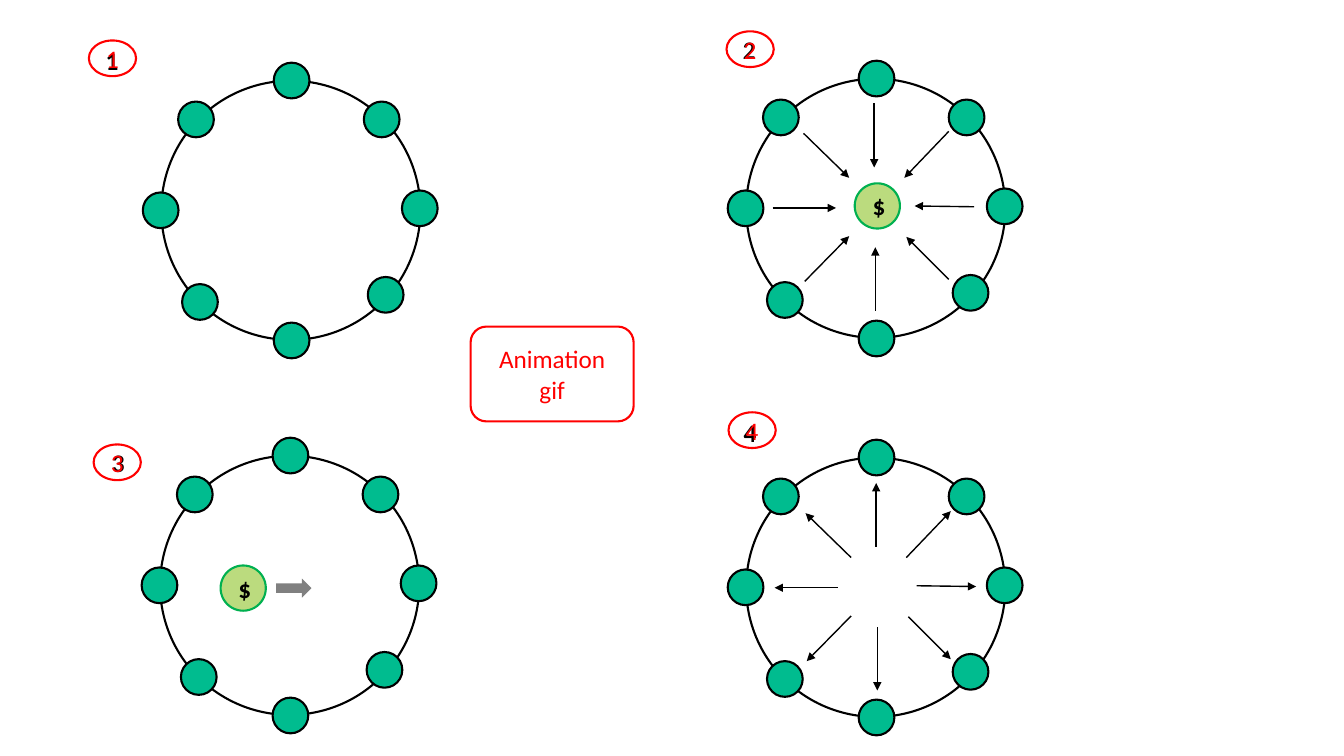
from dataclasses import dataclass
from typing import Optional

from lxml import etree
from pptx import Presentation
from pptx.dml.color import RGBColor
from pptx.enum.shapes import MSO_CONNECTOR, MSO_SHAPE
from pptx.enum.text import MSO_ANCHOR, MSO_AUTO_SIZE, PP_ALIGN
from pptx.oxml.ns import qn
from pptx.util import Cm, Pt

ELLIPSE = MSO_SHAPE.OVAL
ROUND_RECT = MSO_SHAPE.ROUNDED_RECTANGLE
RIGHT_ARROW = MSO_SHAPE.RIGHT_ARROW
STRAIGHT = MSO_CONNECTOR.STRAIGHT
MIDDLE = MSO_ANCHOR.MIDDLE
FIT_SHAPE = MSO_AUTO_SIZE.SHAPE_TO_FIT_TEXT
CENTER = PP_ALIGN.CENTER


@dataclass(frozen=True)
class Theme:
    font: str = "Calibri"
    size: float = 18
    outline: float = 1.5
    arrow_width: float = 1
    black: str = "000000"
    red: str = "FF0000"
    node: str = "00BC8F"
    coin: str = "BBDB7E"
    coin_line: str = "00B050"
    block_arrow: str = "808080"


@dataclass(frozen=True)
class Box:
    left: float
    top: float
    width: float
    height: float

    def lengths(self) -> tuple:
        return Cm(self.left), Cm(self.top), Cm(self.width), Cm(self.height)


@dataclass(frozen=True)
class Stage:
    """One numbered step: ring centre, badge corner and digit corner in cm."""
    number: str
    center: tuple[float, float]
    badge: tuple[float, float]
    digit: tuple[float, float]
    coin: Optional[tuple[float, float]] = None
    arrow_end: Optional[str] = None
    arrow_shift: tuple[float, float] = (0, 0)


THEME = Theme()
RING, NODE, COIN = 6.53, 0.9, 1.14

# Offsets from the ring centre, in cm
NODES = [(0.02, -3.27), (0.02, 3.28), (3.25, -0.05), (-3.28, 0),
         (-2.39, -2.29), (2.29, -2.29), (-2.29, 2.31), (2.39, 2.13)]
SPOKES = [(-0.04, -2.65, -0.04, -1.03), (-0.01, 2.58, -0.01, 0.98),
          (2.48, -0.04, 0.98, -0.06), (-2.6, -0.01, -1, -0.01),
          (1.84, -1.94, 0.72, -0.77), (-1.79, 1.84, -0.67, 0.7),
          (1.84, 1.79, 0.77, 0.72), (-1.82, -1.89, -0.67, -0.77)]

STAGES = [
    Stage("1", (7.33, 5.3), (2.24, 1.02), (2.41, 1.02)),
    Stage("2", (22.07, 5.25), (18.31, 0.79), (18.47, 0.74),
          coin=(22.11, 5.19), arrow_end="tailEnd"),
    Stage("3", (7.3, 14.75), (2.36, 11.2), (2.57, 11.15),
          coin=(6.13, 14.82)),
    Stage("4", (22.07, 14.8), (18.36, 10.39), (18.49, 10.39),
          arrow_end="headEnd", arrow_shift=(0.05, 0.02)),
]


def disc_box(center: tuple[float, float], size: float) -> Box:
    return Box(center[0] - size / 2, center[1] - size / 2, size, size)


def add_shape(shapes, kind, box: Box, fill: Optional[str] = None,
              line: Optional[str] = None):
    sp = shapes.add_shape(kind, *box.lengths())
    sp.shadow.inherit = False
    if fill:
        sp.fill.solid()
        sp.fill.fore_color.rgb = RGBColor.from_string(fill)
    else:
        sp.fill.background()
    if line:
        sp.line.color.rgb = RGBColor.from_string(line)
        sp.line.width = Pt(THEME.outline)
    else:
        sp.line.fill.background()
    return sp


def format_run(p, color: str, bold: bool = False) -> None:
    font = p.runs[0].font
    font.name = THEME.font
    font.size = Pt(THEME.size)
    font.bold = bold
    font.color.rgb = RGBColor.from_string(color)


def add_red_label(shapes, kind, box: Box, text: str) -> None:
    tf = add_shape(shapes, kind, box, line=THEME.red).text_frame
    tf.text = text
    tf.word_wrap = True
    tf.vertical_anchor = MIDDLE
    p = tf.paragraphs[0]
    p.alignment = CENTER
    format_run(p, THEME.red)


def add_symbol(shapes, left: float, top: float, text: str) -> None:
    tf = shapes.add_textbox(*Box(left, top, 0.84, 1.02).lengths()).text_frame
    tf.text = text
    tf.word_wrap = False
    tf.auto_size = FIT_SHAPE
    format_run(tf.paragraphs[0], THEME.black, bold=True)


def add_arrow(shapes, start: tuple[float, float], end: tuple[float, float],
              arrow_end: str) -> None:
    cx = shapes.add_connector(STRAIGHT, Cm(start[0]), Cm(start[1]),
                              Cm(end[0]), Cm(end[1]))
    cx.line.color.rgb = RGBColor.from_string(THEME.black)
    cx.line.width = Pt(THEME.arrow_width)
    sp_pr = cx._element.spPr
    etree.SubElement(sp_pr.find(qn("a:ln")), qn(f"a:{arrow_end}"),
                     type="triangle")
    etree.SubElement(sp_pr, qn("a:effectLst"))


def add_coin(shapes, center: tuple[float, float]) -> None:
    group = shapes.add_group_shape().shapes
    box = disc_box(center, COIN)
    add_shape(group, ELLIPSE, box, THEME.coin, THEME.coin_line)
    add_symbol(group, box.left + 0.2, box.top + 0.06, "$")


def add_spokes(shapes, stage: Stage) -> None:
    group = shapes.add_group_shape().shapes
    x = stage.center[0] + stage.arrow_shift[0]
    y = stage.center[1] + stage.arrow_shift[1]
    for x1, y1, x2, y2 in SPOKES:
        add_arrow(group, (x + x1, y + y1), (x + x2, y + y2), stage.arrow_end)


def add_stage(shapes, stage: Stage) -> None:
    x, y = stage.center
    add_shape(shapes, ELLIPSE, disc_box(stage.center, RING), line=THEME.black)
    for dx, dy in NODES:
        add_shape(shapes, ELLIPSE, disc_box((x + dx, y + dy), NODE),
                  THEME.node, THEME.black)
    if stage.arrow_end:
        add_spokes(shapes, stage)
    if stage.coin:
        add_coin(shapes, stage.coin)
    add_symbol(shapes, *stage.digit, stage.number)
    add_red_label(shapes, ELLIPSE, Box(*stage.badge, 1.19, 0.9), stage.number)


def main() -> None:
    prs = Presentation()
    prs.slide_width, prs.slide_height = Cm(33.87), Cm(19.05)
    s = prs.slides.add_slide(prs.slide_layouts[6])
    for stage in STAGES:
        add_stage(s.shapes, stage)
    add_shape(s.shapes, RIGHT_ARROW, Box(6.96, 14.58, 0.89, 0.48),
              THEME.block_arrow)
    add_red_label(s.shapes, ROUND_RECT, Box(11.86, 8.23, 4.11, 2.39),
                  "Animation gif")
    prs.save("out.pptx")


if __name__ == "__main__":
    main()
